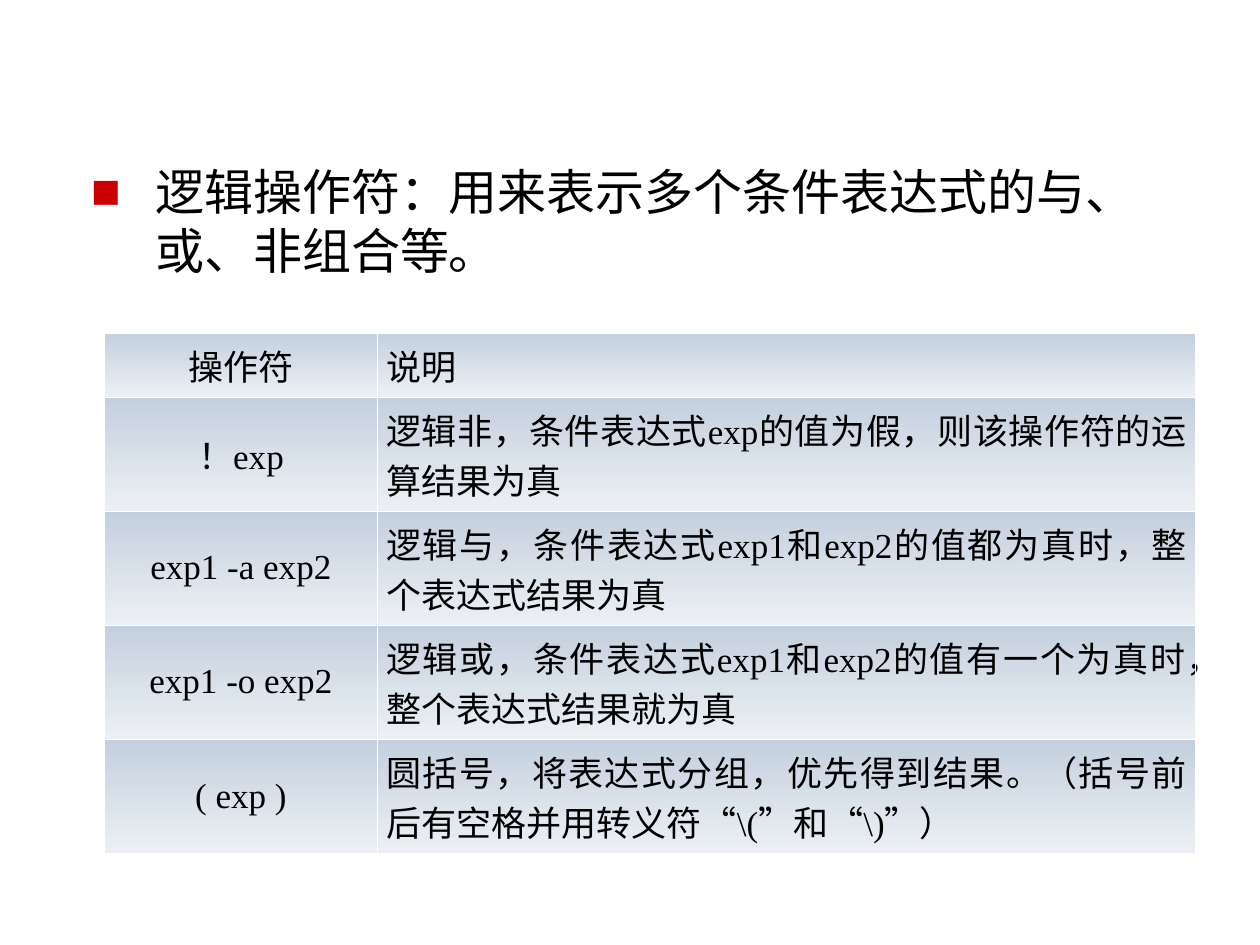
from lxml.etree import SubElement
from pptx import Presentation
from pptx.dml.color import RGBColor
from pptx.enum.text import MSO_ANCHOR as Anchor, PP_ALIGN as Align
from pptx.oxml import parse_xml
from pptx.oxml.ns import nsdecls, qn
from pptx.util import Inches, Pt

PAGE_WIDTH, PAGE_HEIGHT = Inches(10), Inches(7.5)
COLUMN_SHARES = (0.25, 0.75)
HEADER_SHARE = 0.122
OPERATORS = (
    ("操作符", "说明"),
    ("！exp", "逻辑非，条件表达式exp的值为假，则该操作符的运算结果为真"),
    ("exp1 -a exp2", "逻辑与，条件表达式exp1和exp2的值都为真时，整个表达式结果为真"),
    ("exp1 -o exp2", "逻辑或，条件表达式exp1和exp2的值有一个为真时，整个表达式结果就为真"),
    ("( exp )", "圆括号，将表达式分组，优先得到结果。（括号前后有空格并用转义符“\\(”和“\\)”）"),
)
BODY_COUNT = len(OPERATORS) - 1
ROW_SHARES = [HEADER_SHARE] + [(1 - HEADER_SHARE) / BODY_COUNT] * BODY_COUNT


def color(code):
    """Turn a hex string into a colour."""
    return RGBColor.from_string(code)


def share_box(left, top, width, height):
    """Turn shares of the slide's size into lengths."""
    return (int(PAGE_WIDTH * left), int(PAGE_HEIGHT * top),
            int(PAGE_WIDTH * width), int(PAGE_HEIGHT * height))


def write(frame, text, size, font, align=Align.LEFT, east_asian=None, before=0):
    """Write one formatted paragraph into a text frame and return it."""
    para = frame.paragraphs[0]
    para.alignment = align
    para.space_before = Pt(before)
    span = para.add_run()
    span.text = text
    span.font.size = Pt(size)
    span.font.name = font
    span.font.color.rgb = color("000000")
    if east_asian:
        span.font._element.get_or_add_latin().addnext(
            parse_xml(f'<a:ea {nsdecls("a")} typeface="{east_asian}"/>'))
    return para


def add_bullet(para, mark, code, font, indent, percent):
    """Give a paragraph a coloured bullet and a hanging indent."""
    props = para._p.get_or_add_pPr()
    props.set("marL", str(indent))
    props.set("indent", str(-indent))
    SubElement(SubElement(props, qn("a:buClr")), qn("a:srgbClr"), val=code)
    SubElement(props, qn("a:buSzPct"), val=str(percent * 1000))
    SubElement(props, qn("a:buFont"), typeface=font)
    SubElement(props, qn("a:buChar"), char=mark)


def style_cell(cell):
    """Give a cell its margins, vertical gradient and thin white borders."""
    cell.vertical_anchor = Anchor.MIDDLE
    cell.margin_left = cell.margin_right = Inches(0.07)
    cell.margin_top = cell.margin_bottom = Inches(0.05)
    cell.fill.gradient()
    cell.fill.gradient_angle = 270
    for stop, code, place in zip(cell.fill.gradient_stops, ("C4D0DE", "ECF0F4"), (0, 1)):
        stop.color.rgb = color(code)
        stop.position = place
    props = cell._tc.get_or_add_tcPr()
    for order, side in enumerate("LRTB"):
        props.insert(order, parse_xml(
            f'<a:ln{side} {nsdecls("a")} w="{Pt(0.45)}"><a:solidFill>'
            f'<a:srgbClr val="FFFFFF"/></a:solidFill></a:ln{side}>'))


def add_intro(page, box):
    """Place the bulleted introduction in its box."""
    frame = page.shapes.add_textbox(*box).text_frame
    frame.word_wrap = True
    para = write(frame, "逻辑操作符：用来表示多个条件表达式的与、或、非组合等。", size=28,
                 font="DejaVu Sans", east_asian="DejaVu Sans", before=7)
    add_bullet(para, "■", "CC0000", "DejaVu Sans", Inches(0.51), 64)


def add_operator_table(page, box):
    """Place the table of logical operators in its box."""
    width, height = box[2:]
    table = page.shapes.add_table(len(OPERATORS), len(COLUMN_SHARES), *box).table
    for column, share in zip(table.columns, COLUMN_SHARES):
        column.width = int(width * share)
    for row, share, texts in zip(table.rows, ROW_SHARES, OPERATORS):
        row.height = int(height * share)
        for cell, text, align in zip(row.cells, texts, (Align.CENTER, Align.JUSTIFY)):
            style_cell(cell)
            write(cell.text_frame, text, size=20, font="Times New Roman", align=align)
    table.first_row = table.horz_banding = False


def main():
    """Build the slide and save the deck."""
    deck = Presentation()
    deck.slide_width, deck.slide_height = PAGE_WIDTH, PAGE_HEIGHT
    page = deck.slides.add_slide(deck.slide_layouts[6])
    add_intro(page, share_box(0.0625, 0.164, 0.875, 0.713))
    add_operator_table(page, share_box(0.083, 0.353, 0.866, 0.55))
    deck.save("out.pptx")


if __name__ == "__main__":
    main()
